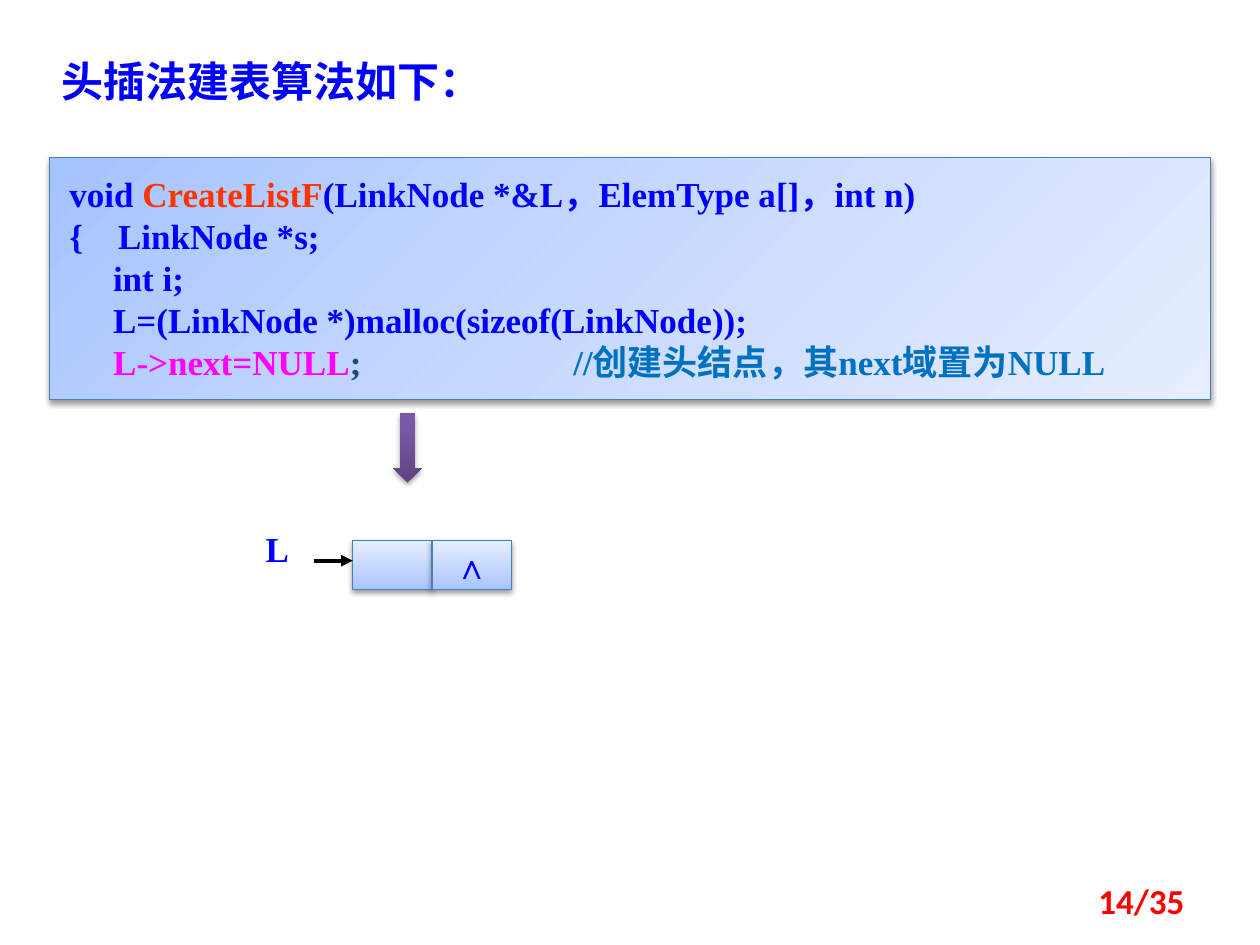
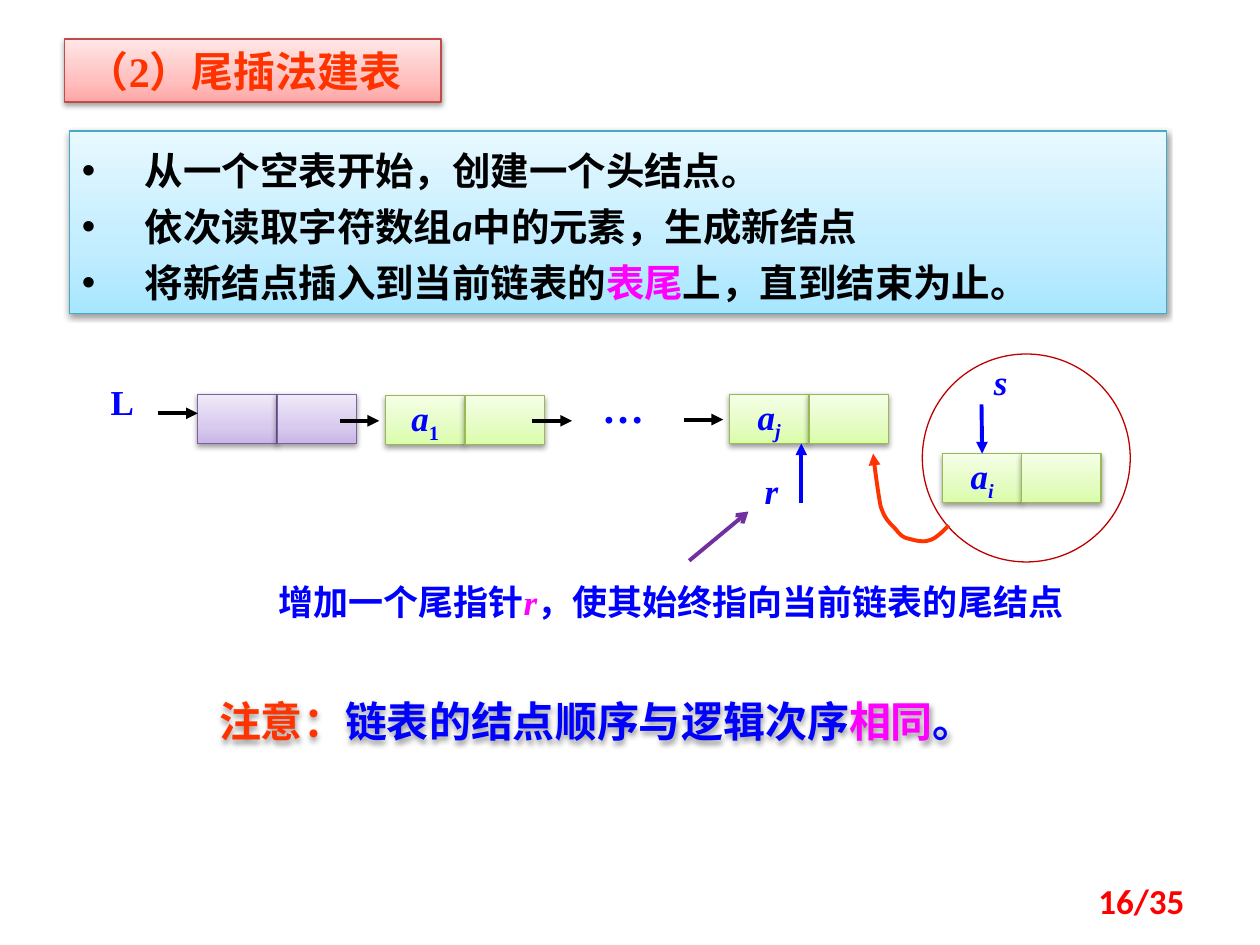
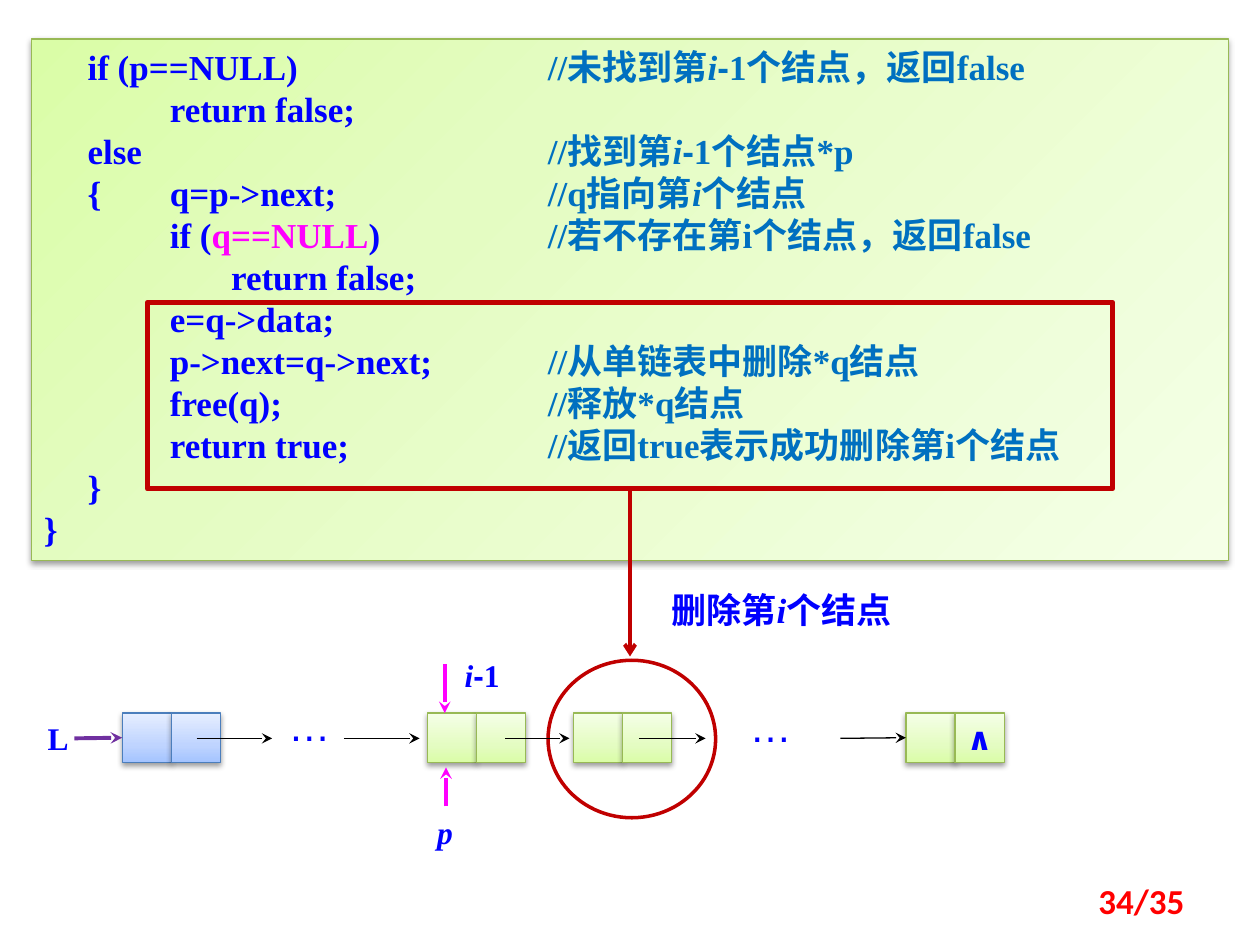
from lxml import etree
from pptx import Presentation
from pptx.dml.color import RGBColor
from pptx.enum.shapes import MSO_CONNECTOR, MSO_SHAPE
from pptx.enum.text import MSO_ANCHOR, MSO_AUTO_SIZE, PP_ALIGN
from pptx.oxml import parse_xml
from pptx.oxml.ns import qn
from pptx.util import Pt

PX = 9144
RECTANGLE, OVAL, DOWN_ARROW = MSO_SHAPE.RECTANGLE, MSO_SHAPE.OVAL, MSO_SHAPE.DOWN_ARROW
STRAIGHT = MSO_CONNECTOR.STRAIGHT
LEFT, CENTER, RIGHT = PP_ALIGN.LEFT, PP_ALIGN.CENTER, PP_ALIGN.RIGHT
TOP, MIDDLE = MSO_ANCHOR.TOP, MSO_ANCHOR.MIDDLE
FIXED = MSO_AUTO_SIZE.NONE
NAMESPACE = 'xmlns:a="http://schemas.openxmlformats.org/drawingml/2006/main"'
color = RGBColor.from_string

BLUE, SKY, PINK, ORANGE = "0000FF", "0070C0", "FF00FF", "FF3300"
BLACK, RED, CRIMSON, PURPLE, NAVY = "000000", "FF0000", "C00000", "7030A0", "1F497D"
SERIF, SANS, CJK, ARIAL = "Times New Roman", "Calibri", "Noto Sans CJK SC", "Arial"
PALETTES = {
    "blue": ("A4C4FF", "BFD4FF", "E6EEFF", 35, "4B7EBC"),
    "violet": ("C9B5E8", "D8CBEE", "F0EAF9", 35, "7D60A0"),
    "green": ("DAFDA7", "E4FCC2", "F5FFE7", 35, "98B955"),
    "red": ("FFA6A5", "FFC0BF", "FFE7E7", 35, "BF4C48"),
    "cyan": ("A7E6FF", "C1EDFF", "E7F8FF", 35, "46AAC5"),
    "plum": ("5F4480", "7B58A6", "7C57A8", 80, None),
}
UPWARD = '<a:lin ang="16200000" scaled="0"/>'
DIAGONAL = '<a:lin ang="2700000" scaled="0"/>'
RADIAL = '<a:path path="circle"><a:fillToRect r="100000" b="100000"/></a:path>'
SHADOW = (f'<a:outerShdw {NAMESPACE} blurRad="40000" dist="20000" dir="5400000" rotWithShape="0">'
          '<a:srgbClr val="000000"><a:alpha val="38000"/></a:srgbClr></a:outerShdw>')


def paint(shape, palette, direction=UPWARD):
    first, second, third, middle, edge = PALETTES[palette]
    stops = "".join(f'<a:gs pos="{place * 1000}"><a:srgbClr val="{shade}"/></a:gs>'
                    for place, shade in ((0, first), (middle, second), (100, third)))
    shape.fill.gradient()
    properties = shape._element.spPr
    properties.replace(properties.find(qn("a:gradFill")), parse_xml(
        f'<a:gradFill {NAMESPACE} rotWithShape="1"><a:gsLst>{stops}</a:gsLst>{direction}</a:gradFill>'))
    if edge:
        shape.line.color.rgb = color(edge)
        shape.line.width = Pt(0.75)
    else:
        shape.line.fill.background()
    shape.shadow.inherit = False
    properties.find(qn("a:effectLst")).append(parse_xml(SHADOW))


def write(shape, lines, size=20, font=SERIF, ink=BLUE, bold=True, align=LEFT, anchor=TOP,
          spacing=None, wrap=True, tabs=(), bullet=False):
    frame = shape.text_frame
    frame.auto_size = FIXED
    frame.word_wrap = wrap
    frame.vertical_anchor = anchor
    for number, line in enumerate(lines):
        para = frame.add_paragraph() if number else frame.paragraphs[0]
        para.alignment = align
        para.space_before = Pt(0)
        if spacing:
            para.line_spacing = Pt(spacing)
        properties = para._p.get_or_add_pPr()
        if bullet:
            properties.set("marL", str(50 * PX))
            properties.set("indent", str(-50 * PX))
            etree.SubElement(properties, qn("a:buChar")).set("char", "•")
        if tabs:
            stops = etree.SubElement(properties, qn("a:tabLst"))
            for place in tabs:
                etree.SubElement(stops, qn("a:tab"), pos=str(place * PX), algn="l")
        para.font.name = font
        para.font.size = Pt(size)
        para.font.bold = bold
        para.font.color.rgb = color(ink)
        for text, *changes in line:
            span = para.add_run()
            span.text = text
            for change in changes:
                if change == "italic":
                    span.font.italic = True
                elif change == "below":
                    span._r.get_or_add_rPr().set("baseline", "-25000")
                elif change == ARIAL:
                    span.font.name = ARIAL
                else:
                    span.font.color.rgb = color(change)


deck = Presentation()
deck.slide_width, deck.slide_height = 1000 * PX, 750 * PX
TITLE_ONLY, TITLE_AND_LIST, BLANK = (deck.slide_layouts[index] for index in (5, 1, 6))
head_page, tail_page, delete_page = pages = [
    deck.slides.add_slide(layout) for layout in (TITLE_ONLY, TITLE_AND_LIST, BLANK)]

title = head_page.shapes.title
title.left, title.top, title.width, title.height = 39 * PX, 39 * PX, 563 * PX, 50 * PX
write(title, [[("头插法建表算法如下：",)]], 24, CJK)

HEAD_CODE = [
    [("void ",), ("CreateListF", ORANGE), ("(LinkNode *&L，ElemType a[]，int n)",)],
    [("{    LinkNode *s;",)],
    [("     int i;",)],
    [("     L=(LinkNode *)malloc(sizeof(LinkNode));",)],
    [("     ",), ("L->next=NULL", PINK), (";\t\t", NAVY), ("//创建头结点，其next域置为NULL", SKY)],
]
DELETE_CODE = [
    [("     if (p==NULL)\t\t",), ("//未找到第", SKY), ("i", SKY, "italic"), ("-", SKY, ARIAL),
     ("1个结点，返回false", SKY)],
    [("\treturn false;",)],
    [("     else\t\t\t\t",), ("//找到第", SKY), ("i", SKY, "italic"), ("-", SKY, ARIAL),
     ("1个结点*p", SKY)],
    [("     {\tq=p->next;\t\t",), ("//q指向第", SKY), ("i", SKY, "italic"), ("个结点", SKY)],
    [("\tif (",), ("q==NULL", PINK), (")\t\t",), ("//若不存在第i个结点，返回false", SKY)],
    [("\t       return false;",)],
    [("\te=q->data;",)],
    [("\tp->next=q->next;\t",), ("//从单链表中删除*q结点", SKY)],
    [("\tfree(q);\t\t\t",), ("//释放*q结点", SKY)],
    [("\treturn true;\t\t",), ("//返回true表示成功删除第i个结点", SKY)],
    [("     }",)],
    [("}",)],
]
for page, left, top, width, height, palette, direction, inset, code in (
        (head_page, 39, 125, 922, 192, "blue", RADIAL, (16, 12), HEAD_CODE),
        (delete_page, 25, 31, 950, 414, "green", DIAGONAL, (10, 5), DELETE_CODE)):
    panel = page.shapes.add_shape(RECTANGLE, left * PX, top * PX, width * PX, height * PX)
    paint(panel, palette, direction)
    frame = panel.text_frame
    frame.margin_left = frame.margin_right = inset[0] * PX
    frame.margin_top = frame.margin_bottom = inset[1] * PX
    write(panel, code, spacing=24, tabs=(100, 200, 300, 400))

down = head_page.shapes.add_shape(DOWN_ARROW, 312 * PX, 328 * PX, 23 * PX, 55 * PX)
paint(down, "plum")

title = tail_page.shapes.title
title.left, title.top, title.width, title.height = 51 * PX, 31 * PX, 299 * PX, 50 * PX
paint(title, "red")
title.text_frame.margin_left = 18 * PX
write(title, [[("（2）尾插法建表",)]], 24, ink=ORANGE)

steps = tail_page.placeholders[1]
steps.left, steps.top, steps.width, steps.height = 55 * PX, 104 * PX, 871 * PX, 145 * PX
paint(steps, "cyan")
write(steps, [
    [("从一个空表开始，创建一个头结点。",)],
    [("依次读取字符数组",), ("a", "italic"), ("中的元素，生成新结点",)],
    [("将新结点插入到当前链表的",), ("表尾", PINK), ("上，直到结束为止。",)],
], 22, SANS, BLACK, spacing=32, bullet=True)

joints = {}
for name, page, kind, left, top, width, height, weight in (
        ("new node ring", tail_page, OVAL, 732, 281, 165, 165, 0.75),
        ("code frame", delete_page, RECTANGLE, 117, 240, 766, 148, 3),
        ("deleted ring", delete_page, OVAL, 435, 524, 133, 125, 2)):
    outline = page.shapes.add_shape(kind, left * PX, top * PX, width * PX, height * PX)
    outline.fill.background()
    outline.line.color.rgb = color(CRIMSON)
    outline.line.width = Pt(weight)
    outline.shadow.inherit = False
    joints[name] = outline

NIL = [("∧",)]
for name, page, left, top, width, palette, data, link, size, font in (
        ("empty head", head_page, 280, 429, 63, "blue", None, NIL, 20, SERIF),
        ("tail head", tail_page, 157, 313, 63, "violet", None, None, 20, SERIF),
        ("a1", tail_page, 306, 314, 63, "green", [("a", "italic"), ("1", "below")], None, 20, SERIF),
        ("aj", tail_page, 579, 313, 63, "green", [("a", "italic"), ("j", "italic", "below")], None, 20, SERIF),
        ("ai", tail_page, 748, 360, 63, "green", [("a", "italic"), ("i", "italic", "below")], None, 20, SERIF),
        ("list head", delete_page, 97, 566, 39, "blue", None, None, 18, SERIF),
        ("previous", delete_page, 339, 566, 39, "green", None, None, 18, SERIF),
        ("deleted", delete_page, 455, 566, 39, "green", None, None, 18, SERIF),
        ("last", delete_page, 719, 566, 39, "green", None, NIL, 18, "DejaVu Sans")):
    for column, content in enumerate((data, link)):
        cell = page.shapes.add_shape(
            RECTANGLE, (left + column * width) * PX, top * PX, width * PX, 39 * PX)
        paint(cell, palette)
        if content:
            write(cell, [content], size, font, align=CENTER, anchor=MIDDLE, wrap=False)
        joints[name, column] = cell

for page, x1, y1, x2, y2, ink, weight, head, start, end in (
        (head_page, 249, 445, 280, 445, BLACK, 2.25, "triangle", None, None),
        (tail_page, 125, 328, 157, 328, BLACK, 2.25, "triangle", None, None),
        (tail_page, 270, 334, 301, 334, BLACK, 2.25, "triangle", None, None),
        (tail_page, 422, 334, 454, 334, BLACK, 2.25, "triangle", None, None),
        (tail_page, 543, 333, 574, 333, BLACK, 2.25, "triangle", None, None),
        (tail_page, 636, 399, 636, 352, BLUE, 2.25, "triangle", None, None),
        (tail_page, 779, 321, 779, 360, BLUE, 2.25, "triangle", None, (("ai", 0), 0)),
        (tail_page, 547, 445, 594, 406, PURPLE, 2.25, "arrow", None, None),
        (delete_page, 500, 388, 500, 521, CRIMSON, 2.25, "arrow", ("code frame", 2), None),
        (delete_page, 59, 586, 97, 586, PURPLE, 2.25, "stealth", None, (("list head", 0), 1)),
        (delete_page, 156, 586, 216, 586, BLACK, 0.75, "stealth", None, None),
        (delete_page, 273, 586, 333, 586, BLACK, 0.75, "stealth", None, None),
        (delete_page, 401, 586, 452, 586, BLACK, 0.75, "stealth", None, None),
        (delete_page, 507, 586, 560, 586, BLACK, 0.75, "stealth", None, None),
        (delete_page, 667, 586, 719, 586, BLACK, 0.75, "stealth", None, (("last", 0), 1)),
        (delete_page, 353, 527, 353, 566, PINK, 2.25, "stealth", None, None),
        (delete_page, 354, 640, 354, 609, PINK, 2.25, "stealth", None, None)):
    arrow = page.shapes.add_connector(STRAIGHT, x1 * PX, y1 * PX, x2 * PX, y2 * PX)
    if start:
        arrow.begin_connect(joints[start[0]], start[1])
    if end:
        arrow.end_connect(joints[end[0]], end[1])
    arrow.line.color.rgb = color(ink)
    arrow.line.width = Pt(weight)
    etree.SubElement(arrow.line._get_or_add_ln(), qn("a:tailEnd")).set("type", head)
    etree.SubElement(arrow._element.spPr, qn("a:effectLst"))

BEND = [(753, 417),
        (751, 419), (743, 428), (737, 429),
        (732, 431), (723, 428), (719, 427),
        (714, 425), (713, 422), (709, 418),
        (705, 414), (702, 411), (699, 402),
        (697, 392), (694, 369), (693, 360)]
STEPS = 8
points = [(BEND[0][0] * PX, BEND[0][1] * PX)]
for index in range(0, len(BEND) - 1, 3):
    corners = BEND[index:index + 4]
    for step in range(1, STEPS + 1):
        t = step / STEPS
        weights = ((1 - t) ** 3, 3 * t * (1 - t) ** 2, 3 * t * t * (1 - t), t ** 3)
        points.append(tuple(round(PX * sum(weight * corner[axis]
                                           for weight, corner in zip(weights, corners)))
                            for axis in (0, 1)))
builder = tail_page.shapes.build_freeform(*points[0])
builder.add_line_segments(points[1:], close=False)
curve = builder.convert_to_shape()
curve.fill.background()
curve.line.color.rgb = color(ORANGE)
curve.line.width = Pt(2.25)
curve.shadow.inherit = False
etree.SubElement(curve.line._get_or_add_ln(), qn("a:tailEnd")).set("type", "triangle")

DOTS = [("…",)]
for page, left, top, width, height, line, look in (
        (head_page, 201, 414, 55, 43, [("L",)], {}),
        (tail_page, 78, 297, 55, 43, [("L",)], {}),
        (tail_page, 468, 298, 55, 50, DOTS, {"size": 24}),
        (tail_page, 779, 281, 63, 43, [("s", "italic")], {}),
        (tail_page, 597, 368, 63, 43, [("r", "italic")], {}),
        (tail_page, 211, 445, 672, 55,
         [("增加一个尾指针",), ("r", PINK, "italic"), ("，使其始终指向当前链表的尾结点",)],
         {"spacing": 32}),
        (delete_page, 523, 462, 281, 44, [("删除第",), ("i", "italic"), ("个结点",)], {}),
        (delete_page, 28, 566, 29, 40, [("L",)], {"size": 18}),
        (delete_page, 219, 550, 79, 50, DOTS, {"size": 24, "font": ARIAL, "bold": False}),
        (delete_page, 585, 551, 79, 50, DOTS, {"size": 24, "font": ARIAL, "bold": False}),
        (delete_page, 359, 516, 64, 40, [("i", "italic"), ("-", ARIAL), ("1",)], {"size": 18}),
        (delete_page, 337, 640, 39, 40, [("p", "italic")], {"size": 18})):
    label = page.shapes.add_textbox(left * PX, top * PX, width * PX, height * PX)
    write(label, [line], **look)

remark = tail_page.shapes.add_textbox(164 * PX, 547 * PX, 677 * PX, 50 * PX)
write(remark, [[("注意：", ORANGE), ("链表的结点顺序与逻辑次序",), ("相同", PINK), ("。",)]], 24, CJK)
remark.shadow.inherit = False
remark._element.spPr.find(qn("a:effectLst")).append(parse_xml(SHADOW))

for page, number in zip(pages, (14, 16, 34)):
    footer = page.shapes.add_textbox(717 * PX, 695 * PX, 233 * PX, 40 * PX)
    write(footer, [[(f"{number}/35",)]], font=SANS, ink=RED, align=RIGHT, anchor=MIDDLE)

deck.save("out.pptx")
